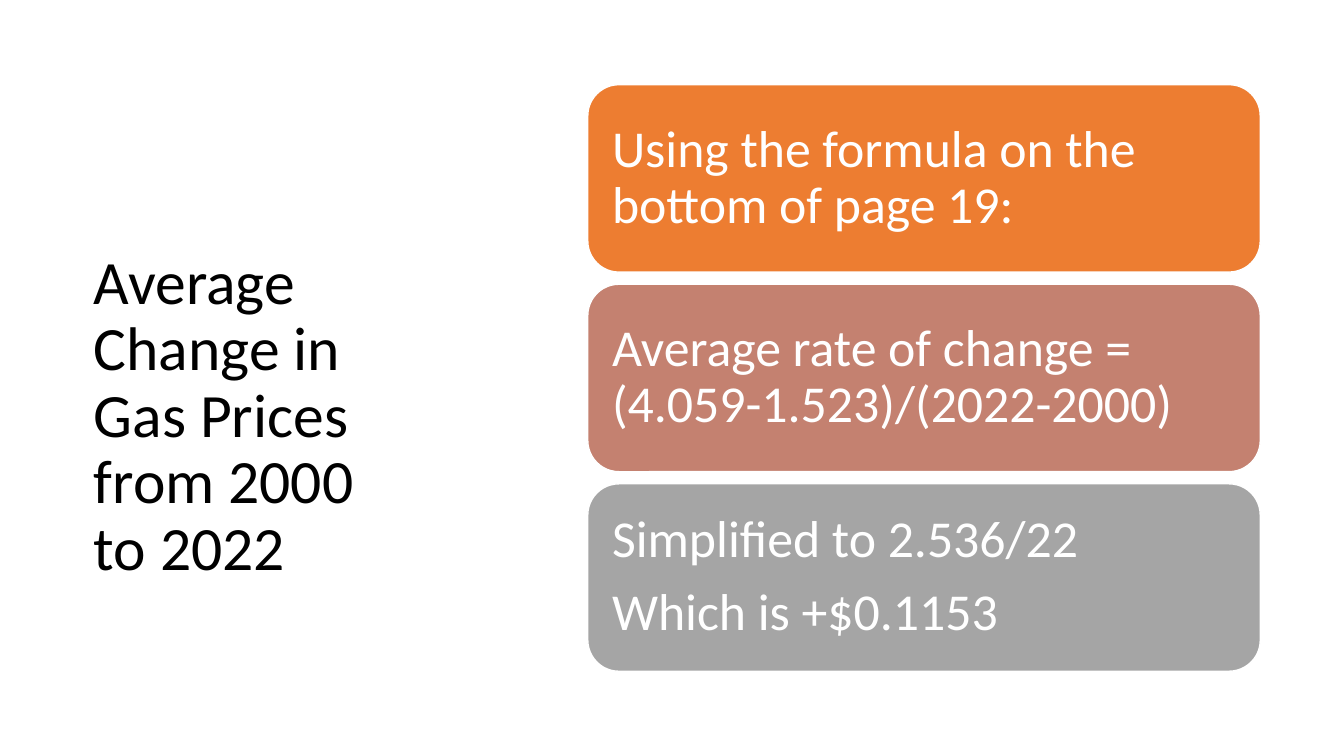
from pptx import Presentation
from pptx import util as u
from pptx.dml.color import RGBColor
from pptx.enum import shapes, text

BLACK = RGBColor(0x00, 0x00, 0x00)
WHITE = RGBColor(0xFF, 0xFF, 0xFF)
ORANGE = RGBColor(0xED, 0x7D, 0x31)
ROSE = RGBColor(0xC4, 0x81, 0x70)
GRAY = RGBColor(0xA5, 0xA5, 0xA5)

TITLE_FRAME = {"vertical_anchor": text.MSO_ANCHOR.BOTTOM}
STEP_FRAME = {
    "vertical_anchor": text.MSO_ANCHOR.MIDDLE,
    "margin_left": u.Inches(0.15),
    "margin_right": u.Inches(0.15),
    "margin_top": u.Inches(0.15),
    "margin_bottom": u.Inches(0.15),
}
TITLE_PARAGRAPH = {"alignment": text.PP_ALIGN.LEFT, "line_spacing": 0.9}
STEP_PARAGRAPH = {**TITLE_PARAGRAPH, "space_after": u.Pt(12)}


def apply(target, values):
    for name, value in values.items():
        setattr(target, name, value)


class SlideBuilder:
    font = "Calibri"

    def __init__(self, slide):
        self.slide = slide

    def fill_text(self, frame, lines, frame_format, paragraph_format, size, color):
        apply(frame, {"word_wrap": True, "auto_size": text.MSO_AUTO_SIZE.NONE})
        apply(frame, frame_format)
        frame.text = "\n".join(lines)
        for paragraph in frame.paragraphs:
            apply(paragraph, paragraph_format)
            for run in paragraph.runs:
                apply(run.font, {"name": self.font, "size": u.Pt(size)})
                run.font.color.rgb = color

    def title(self, heading, left, top, width, height):
        title = self.slide.shapes.title
        apply(title, {
            "left": u.Inches(left),
            "top": u.Inches(top),
            "width": u.Inches(width),
            "height": u.Inches(height),
        })
        self.fill_text(title.text_frame, [heading], TITLE_FRAME, TITLE_PARAGRAPH, 44, BLACK)

    def step(self, lines, fill, left, top, width, height):
        step = self.slide.shapes.add_shape(
            shapes.MSO_SHAPE.ROUNDED_RECTANGLE,
            u.Inches(left), u.Inches(top), u.Inches(width), u.Inches(height),
        )
        step.shadow.inherit = False
        step.fill.solid()
        step.fill.fore_color.rgb = fill
        step.line.color.rgb = WHITE
        step.line.width = u.Pt(1)
        self.fill_text(step.text_frame, lines, STEP_FRAME, STEP_PARAGRAPH, 37, WHITE)


def main():
    deck = Presentation()
    apply(deck, {"slide_width": u.Inches(13.33), "slide_height": u.Inches(7.5)})
    builder = SlideBuilder(deck.slides.add_slide(deck.slide_layouts[5]))
    builder.title("Average Change in Gas Prices from 2000 to 2022", 0.83, 1.67, 3.33, 4.17)

    steps = [
        (["Using the formula on the bottom of page 19:"], ORANGE),
        (["Average rate of change = (4.059-1.523)/(2022-2000)"], ROSE),
        (["Simplified to 2.536/22", "Which is +$0.1153"], GRAY),
    ]
    for index, (lines, fill) in enumerate(steps):
        builder.step(lines, fill, 5.83, 0.84 + 1.98 * index, 6.67, 1.86)

    deck.save("out.pptx")


if __name__ == "__main__":
    main()
